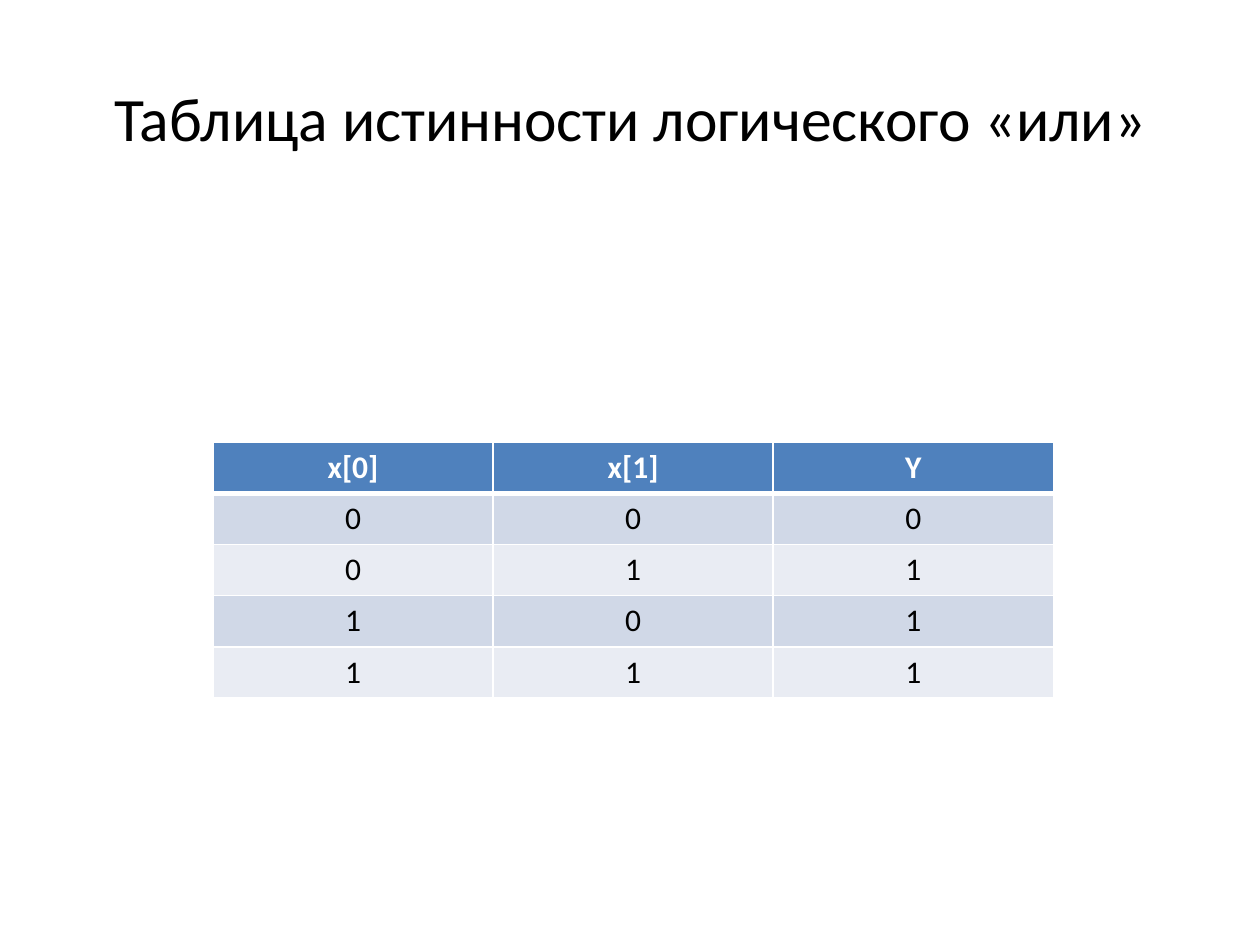
from lxml import etree
from pptx import Presentation
from pptx.dml.color import RGBColor
from pptx.enum.text import MSO_ANCHOR, PP_ALIGN
from pptx.oxml.ns import qn
from pptx.util import Inches, Pt

CENTER = PP_ALIGN.CENTER
MIDDLE = MSO_ANCHOR.MIDDLE
FONT = "Calibri"
WHITE, BLACK = "FFFFFF", "000000"
HEADER_FILL = "4F81BD"
BAND_FILLS = ["D0D8E7", "E9ECF3"]
THIN, THICK = 0.96, 3


def format_text(frame, size, color, bold=False):
    paragraph = frame.paragraphs[0]
    paragraph.alignment = CENTER
    font = paragraph.runs[0].font
    font.name = FONT
    font.size = Pt(size)
    font.bold = bold
    font.color.rgb = RGBColor.from_string(color)


def add_borders(cell, widths):
    """Draw white cell borders; widths in points, keyed by side (L, R, T, B)."""
    properties = cell._tc.get_or_add_tcPr()
    for side, width in widths.items():
        line = etree.SubElement(properties, qn(f"a:ln{side}"), w=str(Pt(width)))
        fill = etree.SubElement(line, qn("a:solidFill"))
        etree.SubElement(fill, qn("a:srgbClr"), val=WHITE)


prs = Presentation()
prs.slide_width, prs.slide_height = Inches(10), Inches(7.5)
slide = prs.slides.add_slide(prs.slide_layouts[6])

title = slide.shapes.add_textbox(Inches(0.5), Inches(0.3), Inches(9), Inches(1.25))
title_frame = title.text_frame
title_frame.word_wrap = True
title_frame.vertical_anchor = MIDDLE
title_frame.margin_left = title_frame.margin_right = 0
title_frame.margin_top = title_frame.margin_bottom = 0
title_frame.text = "Таблица истинности логического «или»"
format_text(title_frame, 35.2, BLACK)

header = ["x[0]", "x[1]", "Y"]
truth_rows = [[str(a), str(b), str(a | b)] for a in (0, 1) for b in (0, 1)]
rows = [header] + truth_rows

truth_table = slide.shapes.add_table(
    len(rows), len(header), Inches(1.69), Inches(3.51), Inches(6.67), Inches(2.03)
).table

for row_index, values in enumerate(rows):
    is_header = row_index == 0
    row_fill = HEADER_FILL if is_header else BAND_FILLS[(row_index - 1) % 2]
    borders = {
        "L": THIN,
        "R": THIN,
        "T": THICK if row_index == 1 else THIN,
        "B": THICK if is_header else THIN,
    }
    for column_index, value in enumerate(values):
        cell = truth_table.cell(row_index, column_index)
        cell.text = value
        format_text(cell.text_frame, 18, WHITE if is_header else BLACK, is_header)
        add_borders(cell, borders)
        cell.fill.solid()
        cell.fill.fore_color.rgb = RGBColor.from_string(row_fill)

prs.save("out.pptx")
